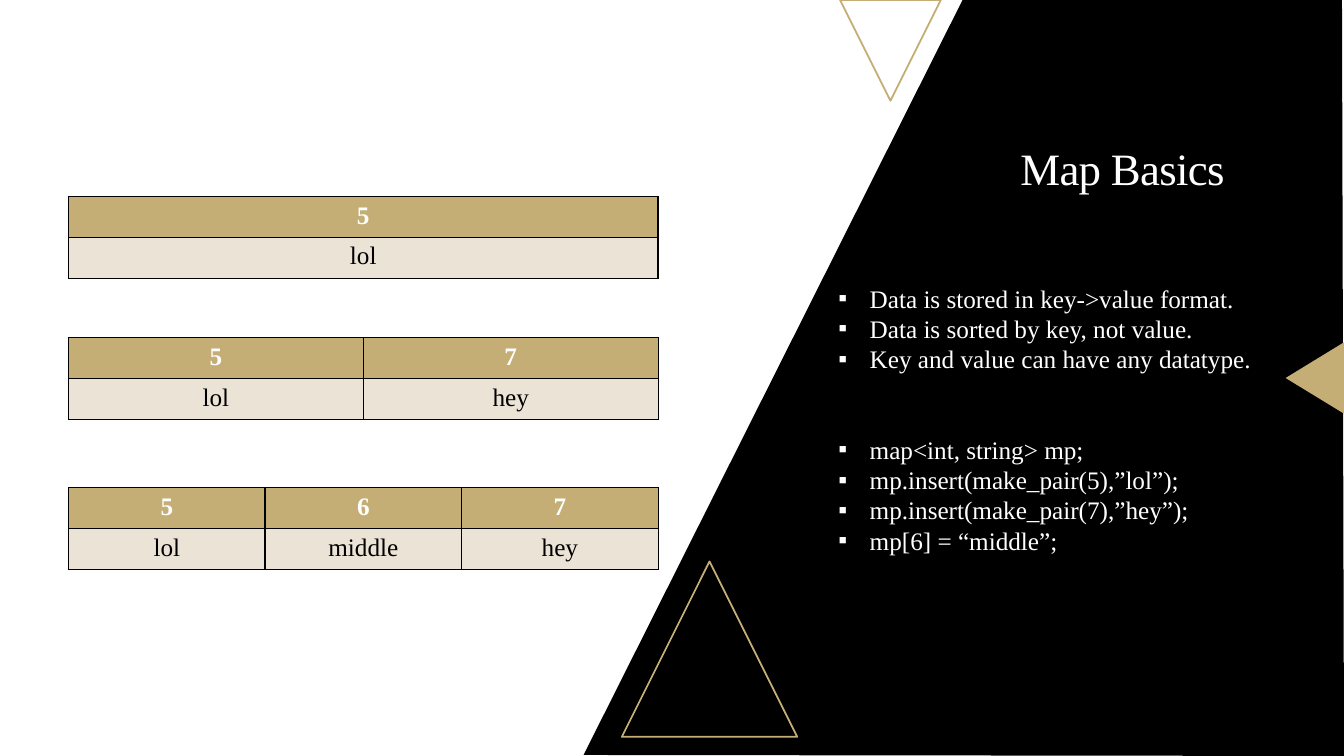
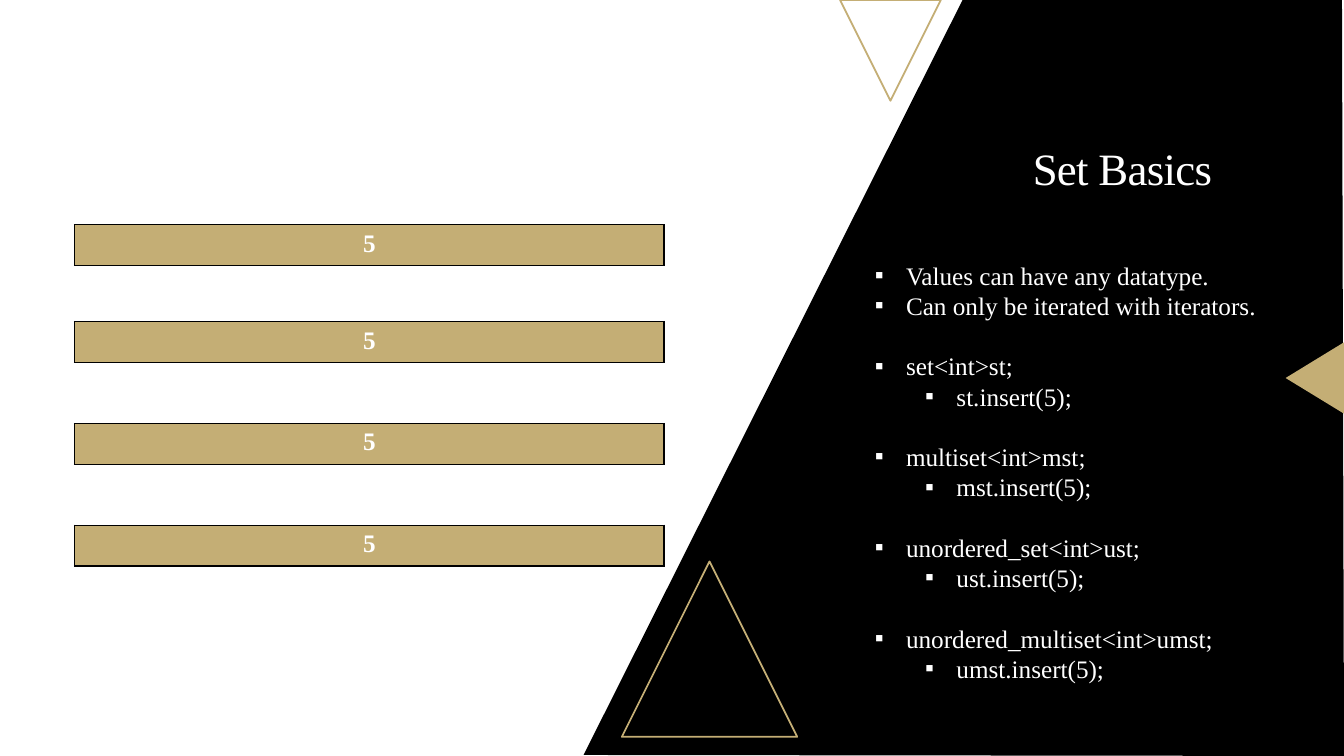
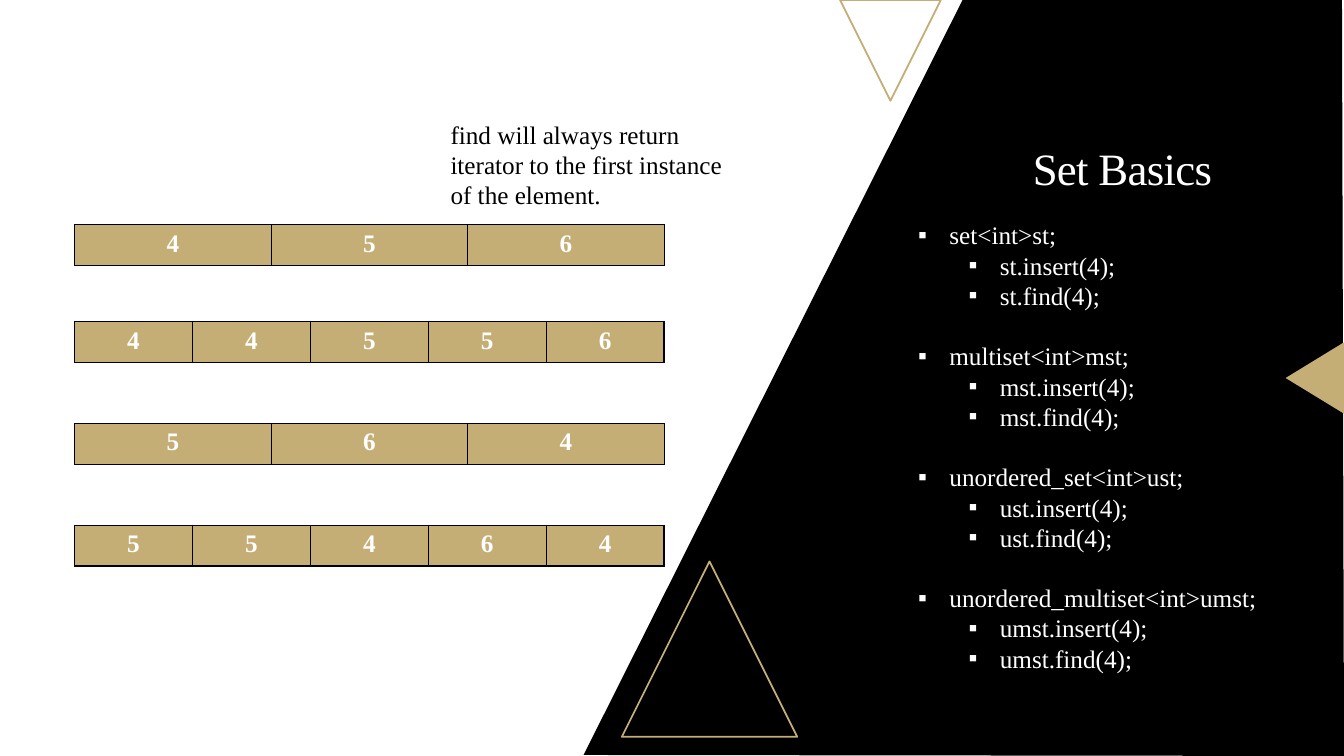
from dataclasses import dataclass
from typing import Any, Sequence

import pptx
import pptx.dml.color
import pptx.enum.shapes
import pptx.enum.text
import pptx.oxml
import pptx.oxml.ns
import pptx.util

WIDTH = pptx.util.Inches(13.33)
HEIGHT = pptx.util.Inches(7.5)

BLACK = pptx.dml.color.RGBColor(0x00, 0x00, 0x00)
WHITE = pptx.dml.color.RGBColor(0xFF, 0xFF, 0xFF)
GOLD = pptx.dml.color.RGBColor(0xC4, 0xAE, 0x75)
CREAM = pptx.dml.color.RGBColor(0xEA, 0xE3, 0xD6)

FONT = "Times New Roman"
BODY_SIZE = 18
LINE_PITCH = 1.2 * BODY_SIZE
BULLET_HANG = pptx.util.Inches(0.31)
LEVEL_INDENT = pptx.util.Inches(0.5)

TABLE_WIDTH = 43.87
ROW_HEIGHT = 5.4
SINGLE_KEY_COLUMNS = 5
MAP_LEFT = 5.1
SET_LEFT = 5.55
SET_TOPS = (29.73, 42.53, 56, 69.47)

CENTER = pptx.enum.text.PP_ALIGN.CENTER


@dataclass(frozen=True)
class Box:
    """A place given in percent of the slide's width and height."""
    left: float
    top: float
    width: float
    height: float

    def emu(self) -> tuple[int, int, int, int]:
        return (across(self.left), down(self.top), across(self.width), down(self.height))


@dataclass(frozen=True)
class Triangle:
    box: Box
    rotation: int = 0
    filled: bool = False


@dataclass(frozen=True)
class Line:
    text: str
    level: int = 0
    gap: int = 0  # blank line heights above


@dataclass(frozen=True)
class Container:
    """The keys of a map or set, with a second row of values for a map."""
    left: float
    top: float
    rows: Sequence[Sequence[str]]


@dataclass(frozen=True)
class Topic:
    title: str
    facts_area: Box
    facts: Sequence[Line]
    containers: Sequence[Container]
    remark: str = ""


TITLE_BOX = Box(67.58, 15.07, 31.87, 15.07)
REMARK_BOX = Box(32.78, 15.07, 21.9, 13.47)
PANEL_CORNERS = ((100, 100), (43.42, 99.87), (71.62, 0), (99.85, 0))
TRIANGLES = (
    Triangle(Box(62.5, 0, 7.5, 13.33), rotation=180),
    Triangle(Box(46.27, 74.27, 13.05, 23.2)),
    Triangle(Box(95.17, 46.13, 5.32, 7.73), rotation=270, filled=True),
)


def across(percent: float) -> int:
    return round(WIDTH * percent / 100)


def down(percent: float) -> int:
    return round(HEIGHT * percent / 100)


def set_lines(number: int, methods: Sequence[str], first_gap: int) -> list[Line]:
    """List each kind of set with its calls below it."""
    lines = []
    for kind, name in (("set", "st"), ("multiset", "mst"),
                       ("unordered_set", "ust"), ("unordered_multiset", "umst")):
        lines.append(Line(f"{kind}<int>{name};", gap=1 if lines else first_gap))
        lines += [Line(f"{name}.{method}({number});", level=1) for method in methods]
    return lines


def set_containers(*key_rows: str) -> list[Container]:
    return [Container(SET_LEFT, top, [keys.split()])
            for top, keys in zip(SET_TOPS, key_rows)]


TOPICS = (
    Topic(
        "Map Basics",
        Box(61.65, 36.8, 38.32, 45.73),
        [
            Line("Data is stored in key->value format."),
            Line("Data is sorted by key, not value."),
            Line("Key and value can have any datatype."),
            Line("map<int, string> mp;", gap=2),
            Line("mp.insert(make_pair(5),”lol”);"),
            Line("mp.insert(make_pair(7),”hey”);"),
            Line("mp[6] = “middle”;"),
        ],
        [
            Container(MAP_LEFT, 26, [["5"], ["lol"]]),
            Container(MAP_LEFT, 44.67, [["5", "7"], ["lol", "hey"]]),
            Container(MAP_LEFT, 64.53, [["5", "6", "7"], ["lol", "middle", "hey"]]),
        ],
    ),
    Topic(
        "Set Basics",
        Box(64.35, 33.73, 34.27, 61.87),
        [
            Line("Values can have any datatype."),
            Line("Can only be iterated with iterators."),
            *set_lines(5, ["insert"], first_gap=1),
        ],
        set_containers("5", "5", "5", "5"),
    ),
    Topic(
        "Set Basics",
        Box(67.58, 28.4, 34.27, 66),
        set_lines(4, ["insert", "find"], first_gap=0),
        set_containers("4 5 6", "4 4 5 5 6", "5 6 4", "5 5 4 6 4"),
        remark="find will always return iterator to the first instance of the element.",
    ),
)


def add_child(parent: Any, tag: str, **attributes: str) -> Any:
    child = pptx.oxml.parse_xml(f"<{tag} {pptx.oxml.ns.nsdecls('a')}/>")
    for key, value in attributes.items():
        child.set(key, value)
    parent.append(child)
    return child


def write(frame: Any, lines: Sequence[Line], *, color: pptx.dml.color.RGBColor,
          size: float = BODY_SIZE, bold: bool = False, align: Any = None,
          line_spacing: float | None = None, tracking: float = 0,
          bulleted: bool = False) -> None:
    frame.word_wrap = True
    for index, line in enumerate(lines):
        paragraph = frame.add_paragraph() if index else frame.paragraphs[0]
        paragraph.level = line.level
        paragraph.alignment = align
        paragraph.line_spacing = line_spacing
        if line.gap:
            paragraph.space_before = pptx.util.Pt(line.gap * LINE_PITCH)
        run = paragraph.add_run()
        run.text = line.text
        run.font.name = FONT
        run.font.size = pptx.util.Pt(size)
        run.font.bold = bold
        run.font.color.rgb = color
        if tracking:
            run.font._element.set("spc", str(round(tracking * 100)))
        if bulleted:
            properties = paragraph._p.get_or_add_pPr()
            properties.set("marL", str(BULLET_HANG + line.level * LEVEL_INDENT))
            properties.set("indent", str(-BULLET_HANG))
            add_child(properties, "a:buFont", typeface=FONT)
            add_child(properties, "a:buChar", char="▪")


def add_text(slide: Any, box: Box, lines: Sequence[Line], **text_format: Any) -> None:
    frame = slide.shapes.add_textbox(*box.emu()).text_frame
    write(frame, lines, **text_format)
    frame.auto_size = pptx.enum.text.MSO_AUTO_SIZE.SHAPE_TO_FIT_TEXT


def rule_cell(cell: Any, left: bool, right: bool) -> None:
    """Rule a cell above and below, and at the sides that are asked for."""
    properties = cell._tc.get_or_add_tcPr()
    sides = (("a:lnL", left), ("a:lnR", right), ("a:lnT", True), ("a:lnB", True))
    for position, (tag, ruled) in enumerate(sides):
        edge = add_child(properties, tag, w=str(pptx.util.Pt(1)))
        if ruled:
            add_child(add_child(edge, "a:solidFill"), "a:srgbClr", val=str(BLACK))
        else:
            add_child(edge, "a:noFill")
        properties.insert(position, edge)


def add_container(slide: Any, container: Container) -> None:
    """Draw the table; a single key stands in the middle of unruled columns."""
    rows = container.rows
    single = len(rows[0]) == 1
    columns = SINGLE_KEY_COLUMNS if single else len(rows[0])
    box = Box(container.left, container.top, TABLE_WIDTH, ROW_HEIGHT * len(rows))
    table = slide.shapes.add_table(len(rows), columns, *box.emu()).table
    table.first_row = table.horz_banding = False
    for row, texts in enumerate(rows):
        is_key = row == 0
        for column in range(columns):
            cell = table.cell(row, column)
            cell.fill.solid()
            cell.fill.fore_color.rgb = GOLD if is_key else CREAM
            rule_cell(cell, left=not single or column == 0,
                      right=not single or column == columns - 1)
            if not single or column == columns // 2:
                write(cell.text_frame, [Line(texts[0 if single else column])],
                      color=WHITE if is_key else BLACK, bold=is_key, align=CENTER)


def add_triangle(slide: Any, triangle: Triangle) -> Any:
    shape = slide.shapes.add_shape(
        pptx.enum.shapes.MSO_SHAPE.ISOSCELES_TRIANGLE, *triangle.box.emu())
    shape.rotation = triangle.rotation
    shape.shadow.inherit = False
    if triangle.filled:
        shape.fill.solid()
        shape.fill.fore_color.rgb = GOLD
        shape.line.fill.background()
    else:
        shape.fill.background()
        shape.line.color.rgb = GOLD
        shape.line.width = pptx.util.Pt(1.25)
    return shape


def add_panel(slide: Any) -> Any:
    first, *others = [(across(x), down(y)) for x, y in PANEL_CORNERS]
    builder = slide.shapes.build_freeform(*first)
    builder.add_line_segments(others, close=True)
    panel = builder.convert_to_shape()
    panel.shadow.inherit = False
    panel.fill.solid()
    panel.fill.fore_color.rgb = BLACK
    panel.line.fill.background()
    return panel


def decorate_layout(layout: Any, slide: Any) -> None:
    """Draw the shared panel and triangles, then move them behind the layout."""
    decorations = [add_panel(slide), *(add_triangle(slide, t) for t in TRIANGLES)]
    tree = layout.shapes._spTree
    next_id = max(shape.shape_id for shape in layout.shapes) + 1
    for index, shape in enumerate(decorations):
        shape._element.nvSpPr.cNvPr.set("id", str(next_id + index))
        tree.insert(2 + index, shape._element)


def set_title(slide: Any, text: str) -> None:
    title = slide.shapes.title
    title.left, title.top, title.width, title.height = TITLE_BOX.emu()
    title.text_frame.vertical_anchor = pptx.enum.text.MSO_ANCHOR.MIDDLE
    write(title.text_frame, [Line(text)], color=WHITE, size=32, align=CENTER,
          line_spacing=0.9, tracking=-0.5)


def main() -> None:
    deck = pptx.Presentation()
    deck.slide_width, deck.slide_height = WIDTH, HEIGHT
    layout = deck.slide_layouts.get_by_name("Title Only")
    slides = [deck.slides.add_slide(layout) for _ in TOPICS]
    decorate_layout(layout, slides[0])
    for slide, topic in zip(slides, TOPICS):
        set_title(slide, topic.title)
        add_text(slide, topic.facts_area, topic.facts, color=WHITE, bulleted=True)
        for container in topic.containers:
            add_container(slide, container)
        if topic.remark:
            add_text(slide, REMARK_BOX, [Line(topic.remark)], color=BLACK)
    deck.save("out.pptx")


if __name__ == "__main__":
    main()
